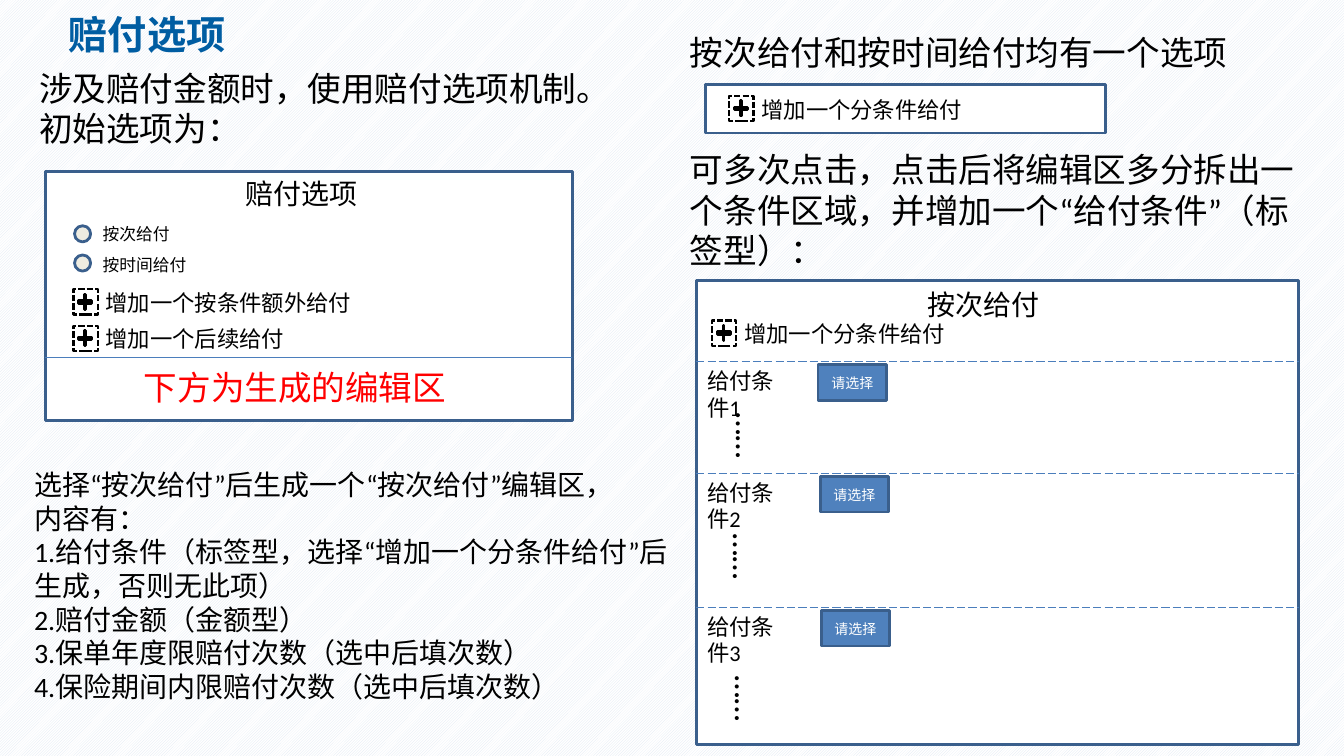
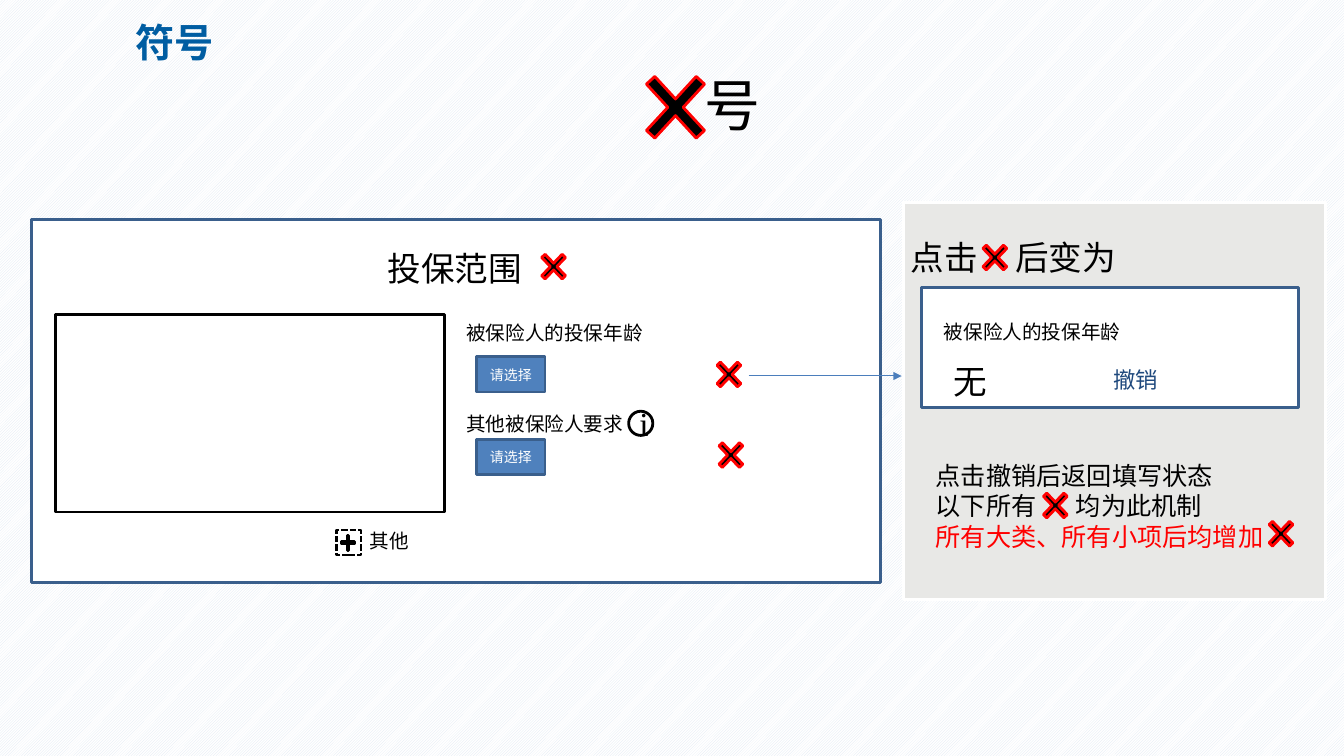
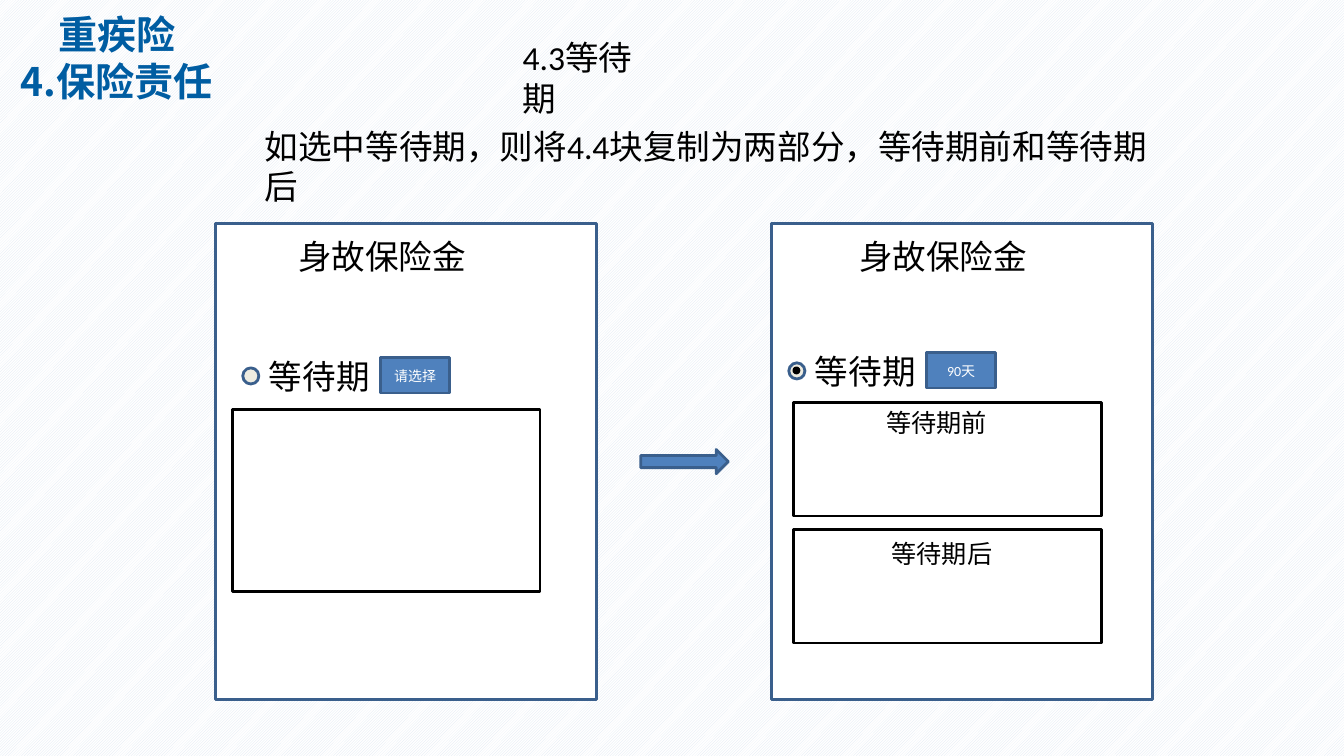
from lxml.etree import SubElement
from pptx import Presentation
from pptx.dml.color import RGBColor
from pptx.enum.dml import MSO_LINE, MSO_PATTERN
from pptx.enum.lang import MSO_LANGUAGE_ID as Language
from pptx.enum.shapes import MSO_CONNECTOR, MSO_SHAPE as Shape
from pptx.enum.text import MSO_ANCHOR, MSO_AUTO_SIZE, PP_ALIGN
from pptx.oxml.ns import qn
from pptx.util import Inches, Pt

BODY = "Calibri"
HEADING = "Noto Sans CJK SC"
SERIF = "Times New Roman"
BLACK, WHITE, RED = "000000", "FFFFFF", "FF0000"
TITLE, LINK = "005DA2", "1F497D"
BLUE, EDGE, RULE = "4F81BD", "3A5F8C", "4B7EBC"
CREAM, GREY, STRIPE = "EEECE1", "E8E8E6", "DCE6F2"
CHOOSE = "请选择"


def rgb(value):
    return RGBColor.from_string(value)


class Sketch:
    def __init__(self):
        self.deck = Presentation()
        self.deck.slide_width = Inches(13.34)
        self.deck.slide_height = Inches(7.5)
        fill = self.deck.slide_master.background.fill
        fill.patterned()
        fill.pattern = MSO_PATTERN.LIGHT_UPWARD_DIAGONAL
        fill.fore_color.rgb = rgb(STRIPE)
        fill.back_color.rgb = rgb(WHITE)
        self.page = None

    def new_page(self, title, left, top):
        self.page = self.deck.slides.add_slide(self.deck.slide_layouts[6])
        self.text(title, left, top, 3.6, 28, HEADING, TITLE, bold=True, align=PP_ALIGN.CENTER)

    def style(self, para, size, font, color, bold=False, align=None):
        para.alignment = align
        for span in para.runs:
            span.font.size = Pt(size)
            span.font.name = font
            span.font.bold = bold
            span.font.color.rgb = rgb(color)
            span.font.language_id = Language.SIMPLIFIED_CHINESE
            SubElement(span.font._element, qn("a:ea")).set("typeface", BODY)

    def text(self, words, left, top, width, size=24, font=BODY, color=BLACK,
             bold=False, align=None, height=None, tab=None):
        lines = words.split("\n")
        height = height or round(0.1 + len(lines) * size / 60, 2)
        box = self.page.shapes.add_textbox(Inches(left), Inches(top), Inches(width), Inches(height))
        frame = box.text_frame
        frame.text = words
        frame.word_wrap = True
        frame.auto_size = MSO_AUTO_SIZE.SHAPE_TO_FIT_TEXT
        for para in frame.paragraphs:
            self.style(para, size, font, color, bold, align)
            if tab and "\t" in para.text:
                stops = SubElement(para._p.get_or_add_pPr(), qn("a:tabLst"))
                stop = SubElement(stops, qn("a:tab"))
                stop.set("pos", str(Inches(tab)))
                stop.set("algn", "l")
        return box

    def heading(self, words, left, top, width, size=24):
        return self.text(words, left, top, width, size, HEADING)

    def shape(self, kind, left, top, width, height, fill=None, line=EDGE,
              weight=2, dash=None, adjust=None):
        box = self.page.shapes.add_shape(kind, Inches(left), Inches(top), Inches(width), Inches(height))
        box.shadow.inherit = False
        if fill:
            box.fill.solid()
            box.fill.fore_color.rgb = rgb(fill)
        else:
            box.fill.background()
        box.line.color.rgb = rgb(line)
        box.line.width = Pt(weight)
        if dash:
            box.line.dash_style = dash
        if adjust is not None:
            box.adjustments[0] = adjust
        return box

    def label(self, box, words, size, font, color):
        frame = box.text_frame
        frame.text = words
        frame.vertical_anchor = MSO_ANCHOR.MIDDLE
        self.style(frame.paragraphs[0], size, font, color, align=PP_ALIGN.CENTER)

    def panel(self, left, top, width, height):
        self.shape(Shape.RECTANGLE, left, top, width, height, WHITE)

    def frame(self, left, top, width, height):
        self.shape(Shape.RECTANGLE, left, top, width, height, line=BLACK)

    def button(self, left, top, words=CHOOSE):
        self.label(self.shape(Shape.RECTANGLE, left, top, 0.68, 0.35, BLUE), words, 10, BODY, WHITE)

    def radio(self, left, top):
        self.shape(Shape.OVAL, left, top, 0.16, 0.16, CREAM)

    def cross(self, left, top, width=0.39, height=0.41):
        self.shape(Shape.MATH_MULTIPLY, left, top, width, height, BLACK, RED, adjust=0.118)

    def plus(self, left, top):
        self.shape(Shape.RECTANGLE, left, top, 0.24, 0.25, WHITE, BLACK, 1.5, MSO_LINE.SQUARE_DOT)
        self.shape(Shape.CROSS, left + 0.05, top + 0.05, 0.13, 0.15, BLACK, BLACK, adjust=0.483)

    def add_option(self, words, left, top, width):
        self.plus(left, top)
        self.text(words, left + 0.22, top - 0.05, width, 16)

    def info(self, left, top):
        self.label(self.shape(Shape.OVAL, left, top, 0.24, 0.24, WHITE, BLACK), "i", 24, SERIF, BLACK)

    def dots(self, left, top):
        box = self.text("……", left, top, 0.61, height=0.57)
        box.text_frame.word_wrap = False
        box.text_frame._txBody.bodyPr.set("vert", "eaVert")

    def rule(self, left, right, top, dash=None, arrow=False):
        line = self.page.shapes.add_connector(
            MSO_CONNECTOR.STRAIGHT, Inches(left), Inches(top), Inches(right), Inches(top))
        line.line.color.rgb = rgb(RULE)
        line.line.width = Pt(0.75)
        if dash:
            line.line.dash_style = dash
        if arrow:
            SubElement(line.line._get_or_add_ln(), qn("a:tailEnd")).set("type", "triangle")
        SubElement(line._element.spPr, qn("a:effectLst"))


def payment_options(sketch):
    sketch.new_page("赔付选项", -0.34, 0.05)
    sketch.text("涉及赔付金额时，使用赔付选项机制。初始选项为：", 0.29, 0.62, 5.67, height=0.9)
    sketch.panel(0.45, 1.7, 5.23, 2.47)
    sketch.heading("赔付选项", 2.34, 1.7, 3.97, 20)
    for words, top, radio_top in (("按次给付", 2.17, 2.24), ("按时间给付", 2.48, 2.53)):
        sketch.heading(words, 0.92, top, 1.34, 12)
        sketch.radio(0.74, radio_top)
    sketch.add_option("增加一个按条件额外给付", 0.73, 2.87, 2.67)
    sketch.add_option("增加一个后续给付", 0.73, 3.23, 2)
    sketch.rule(0.45, 5.68, 3.55)
    sketch.text("下方为生成的编辑区", 1.33, 3.59, 3.23, color=RED)
    sketch.text(
        "选择“按次给付”后生成一个“按次给付”编辑区，\n内容有：\n"
        "1.给付条件（标签型，选择“增加一个分条件给付”后生成，否则无此项）\n"
        "2.赔付金额（金额型）\n3.保单年度限赔付次数（选中后填次数）\n"
        "4.保险期间内限赔付次数（选中后填次数）", 0.24, 4.59, 6.76, 20, height=2.46)

    sketch.text("按次给付和按时间给付均有一个选项", 6.75, 0.27, 5.59)
    sketch.panel(7, 0.84, 3.97, 0.48)
    sketch.add_option("增加一个分条件给付", 7.24, 0.95, 2.22)
    sketch.text("可多次点击，点击后将编辑区多分拆出一个条件区域，并增加一个“给付条件”（标签型）：",
                6.75, 1.43, 6.22, height=1.31)
    sketch.panel(6.91, 2.78, 5.98, 4.61)
    sketch.heading("按次给付", 9.11, 2.8, 3.97, 20)
    sketch.add_option("增加一个分条件给付", 7.07, 3.18, 2.22)
    sections = ((3.59, 8.12, 7.08, 3.99), (4.7, 8.14, 7.05, 5.19), (6.03, 8.15, 7.07, 6.6))
    for number, (top, button_left, dots_left, dots_top) in enumerate(sections, 1):
        sketch.rule(6.91, 12.89, top, MSO_LINE.LONG_DASH)
        sketch.text(f"给付条件{number}", 6.92, top, 1.08, 16, height=0.63)
        sketch.button(button_left, top + 0.03)
        sketch.dots(dots_left, dots_top)


def symbols(sketch):
    sketch.new_page("符号", -0.07, 0.13)
    sketch.cross(6.23, 0.55, 0.95, 1.03)
    sketch.heading("号", 6.89, 0.65, 2.48, 40)
    sketch.panel(0.31, 2.18, 8.43, 3.6)
    sketch.heading("投保范围", 3.75, 2.41, 1.55)
    sketch.cross(5.3, 2.44)
    sketch.frame(0.55, 3.12, 3.86, 1.96)
    fields = (("被保险人的投保年龄", 3.13, 3.54, 7.04, 3.51),
              ("其他被保险人要求", 4.04, 4.36, 7.06, 4.31))
    for words, top, button_top, cross_left, cross_top in fields:
        sketch.heading(words, 4.53, top, 2.14, 14)
        sketch.button(4.73, button_top)
        sketch.cross(cross_left, cross_top)
    sketch.info(6.24, 4.08)
    sketch.plus(3.34, 5.26)
    sketch.heading("其他", 3.57, 5.2, 3.26, 14)

    sketch.shape(Shape.RECTANGLE, 8.97, 2.01, 4.19, 3.94, GREY, WHITE)
    sketch.rule(7.43, 8.95, 3.73, arrow=True)
    sketch.text("点击\t后变为", 8.94, 2.3, 2.26, tab=1.04)
    sketch.cross(9.68, 2.35)
    sketch.panel(9.15, 2.85, 3.74, 1.19)
    sketch.heading("被保险人的投保年龄", 9.27, 3.12, 3.74, 14)
    sketch.text("无", 9.37, 3.53, 0.54)
    sketch.text("撤销", 10.95, 3.58, 0.65, 16, color=LINK)
    notes = sketch.text("点击撤销后返回填写状态\n以下所有\t均为此机制\n所有大类、所有小项后均增加",
                        9.19, 4.52, 3.48, 18, tab=1.39)
    notes.text_frame.paragraphs[2].runs[0].font.color.rgb = rgb(RED)
    sketch.cross(10.28, 4.81)
    sketch.cross(12.52, 5.09)


def waiting_period(sketch):
    sketch.new_page("重疾险\n4.保险责任", -0.64, 0.05)
    sketch.text("4.3等待期", 5.09, 0.32, 1.42, height=0.9)
    sketch.text("如选中等待期，则将4.4块复制为两部分，等待期前和等待期后", 2.53, 1.2, 9.2, height=0.9)
    panels = ((2.14, 2.86, 2.41, 3.65, CHOOSE), (7.66, 8.43, 7.83, 3.6, "90天"))
    for left, heading_left, radio_left, radio_top, choice in panels:
        sketch.panel(left, 2.22, 3.78, 4.72)
        sketch.heading("身故保险金", heading_left, 2.29, 1.95)
        sketch.radio(radio_left, radio_top)
        sketch.text("等待期", radio_left + 0.16, radio_top - 0.17, 1.21)
        sketch.button(radio_left + 1.37, radio_top - 0.1, choice)
    sketch.frame(2.31, 4.06, 3.05, 1.81)
    sketch.shape(Shape.OVAL, 7.88, 3.65, 0.05, 0.05, BLACK, BLACK)
    for words, frame_top, left, top in (("等待期前", 3.99, 8.7, 3.99), ("等待期后", 5.25, 8.75, 5.29)):
        sketch.frame(7.88, frame_top, 3.05, 1.13)
        sketch.heading(words, left, top, 1.21, 18)
    sketch.shape(Shape.RIGHT_ARROW, 6.36, 4.46, 0.87, 0.24, BLUE)


def main():
    sketch = Sketch()
    for build in (payment_options, symbols, waiting_period):
        build(sketch)
    sketch.deck.save("out.pptx")


if __name__ == "__main__":
    main()
